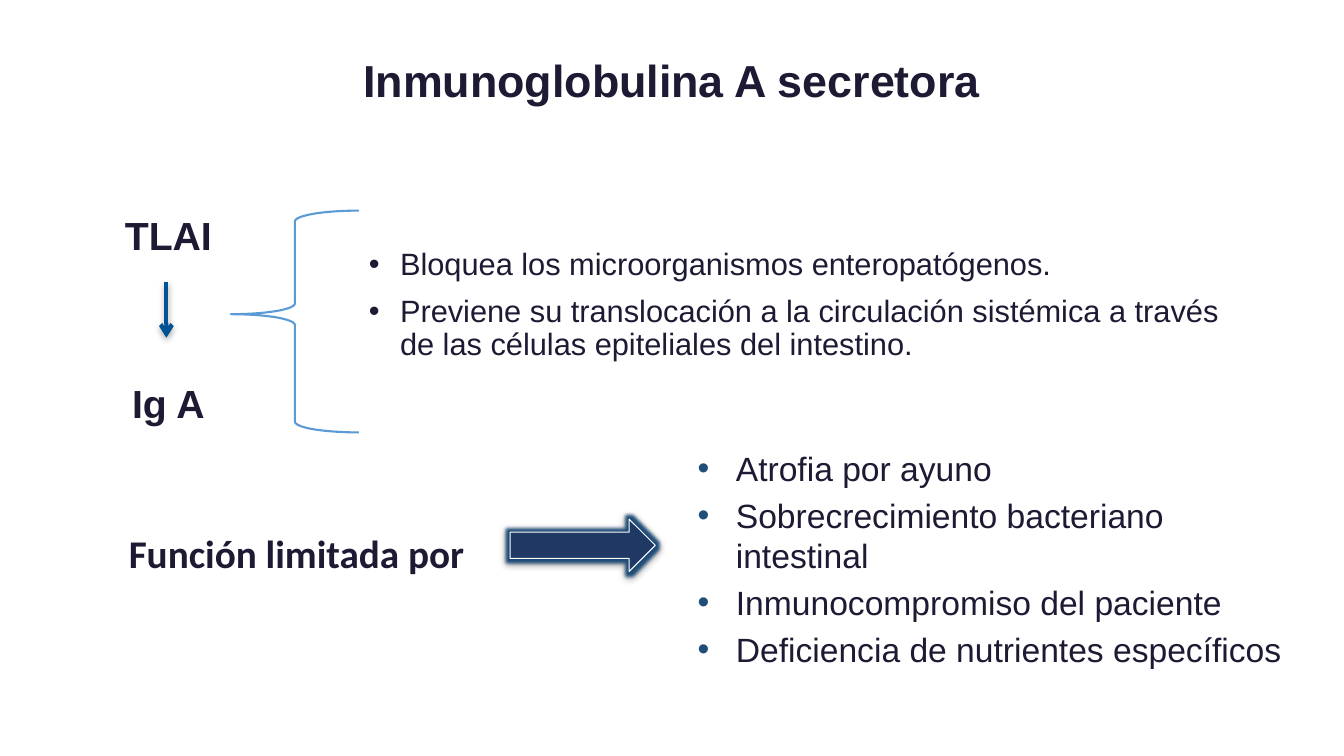
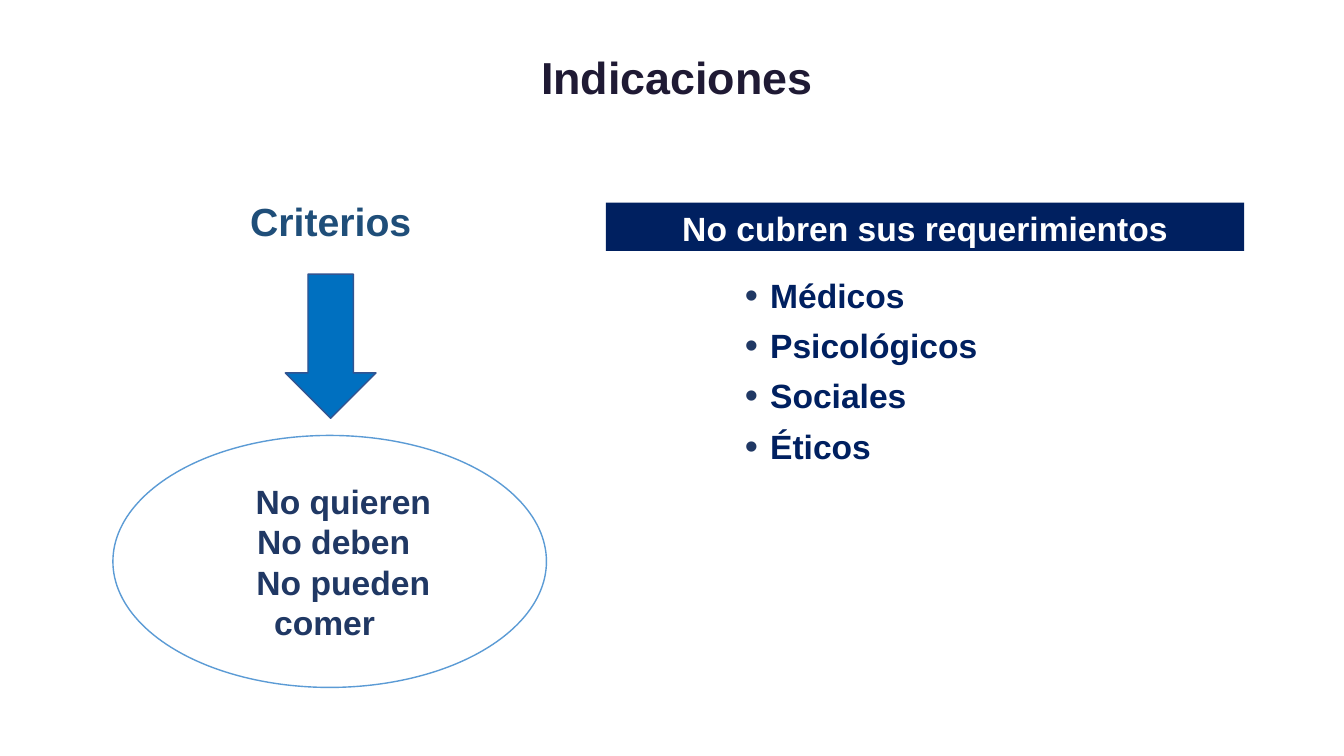
from dataclasses import dataclass
from typing import Optional, Sequence

from lxml import etree
from pptx import Presentation
from pptx.dml.color import RGBColor
from pptx.enum.shapes import MSO_CONNECTOR, MSO_SHAPE
from pptx.enum.text import MSO_ANCHOR as ANCHOR, MSO_AUTO_SIZE as AUTO, PP_ALIGN as ALIGN
from pptx.oxml.ns import qn
from pptx.util import Inches, Pt

COLORS = {
    "ink": "1F1A34",
    "white": "FFFFFF",
    "sky": "5B9BD5",
    "steel": "1F4E79",
    "navy": "203864",
    "deep": "002060",
    "line_blue": "005294",
    "arrow_blue": "0070C0",
    "arrow_edge": "325491",
    "black": "000000",
}


@dataclass(frozen=True)
class Box:
    left: float
    top: float
    width: float
    height: float

    def inches(self) -> tuple:
        return tuple(Inches(v) for v in (self.left, self.top, self.width, self.height))


@dataclass(frozen=True)
class TextStyle:
    size: float
    color: str = "ink"
    bold: bool = False
    font: str = "Arial"
    align: ALIGN = ALIGN.LEFT
    line_spacing: object = 1.0
    space_before: float = 0


@dataclass(frozen=True)
class Bullet:
    indent: float
    color: str
    percent: int = 100


@dataclass(frozen=True)
class BulletList:
    box: Box
    items: Sequence[str]
    style: TextStyle
    bullet: Bullet


@dataclass(frozen=True)
class Label:
    text: str
    box: Box
    style: TextStyle


@dataclass(frozen=True)
class Figure:
    kind: MSO_SHAPE
    box: Box
    fill: Optional[str] = None
    line: Optional[str] = None
    weight: float = 1
    adjustments: Sequence[float] = ()


TITLE = TextStyle(32, bold=True, align=ALIGN.CENTER, line_spacing=0.9)
LABEL = TextStyle(28, bold=True, align=ALIGN.CENTER)


def rgb(name: str) -> RGBColor:
    return RGBColor.from_string(COLORS[name])


def add_child(parent, tag: str, **attributes):
    element = etree.SubElement(parent, qn(tag))
    for key, value in attributes.items():
        element.set(key, str(value))
    return element


def add_bullet(paragraph, bullet: Bullet) -> None:
    properties = paragraph._p.get_or_add_pPr()
    properties.set("marL", str(Inches(bullet.indent)))
    properties.set("indent", str(-Inches(bullet.indent)))
    color = add_child(properties, "a:buClr")
    add_child(color, "a:srgbClr", val=COLORS[bullet.color])
    add_child(properties, "a:buSzPct", val=bullet.percent * 1000)
    add_child(properties, "a:buFont", typeface="Arial")
    add_child(properties, "a:buChar", char="•")


def write(frame, lines: Sequence[str], style: TextStyle, anchor: ANCHOR = ANCHOR.TOP,
          bullet: Optional[Bullet] = None) -> None:
    frame_format = {"word_wrap": True, "auto_size": AUTO.NONE, "vertical_anchor": anchor}
    paragraph_format = {
        "alignment": style.align,
        "line_spacing": style.line_spacing,
        "space_before": Pt(style.space_before),
    }
    font_format = {"name": style.font, "size": Pt(style.size), "bold": style.bold}
    for key, value in frame_format.items():
        setattr(frame, key, value)
    for index, line in enumerate(lines):
        paragraph = frame.add_paragraph() if index else frame.paragraphs[0]
        run = paragraph.add_run()
        run.text = line
        for key, value in paragraph_format.items():
            setattr(paragraph, key, value)
        for key, value in font_format.items():
            setattr(run.font, key, value)
        run.font.color.rgb = rgb(style.color)
        if bullet:
            add_bullet(paragraph, bullet)


def add_titled_slide(deck, title: str, box: Box):
    slide = deck.slides.add_slide(deck.slide_layouts[5])
    heading = slide.shapes.title
    heading.left, heading.top, heading.width, heading.height = box.inches()
    write(heading.text_frame, [title], TITLE, ANCHOR.MIDDLE)
    return slide


def add_label(slide, label: Label) -> None:
    box = slide.shapes.add_textbox(*label.box.inches())
    write(box.text_frame, [label.text], label.style)


def add_bullet_list(slide, content: BulletList) -> None:
    box = slide.shapes.add_textbox(*content.box.inches())
    write(box.text_frame, content.items, content.style, bullet=content.bullet)


def add_figure(slide, figure: Figure):
    shape = slide.shapes.add_shape(figure.kind, *figure.box.inches())
    shape.shadow.inherit = False
    for index, value in enumerate(figure.adjustments):
        shape.adjustments[index] = value
    for fill, color in ((shape.fill, figure.fill), (shape.line.fill, figure.line)):
        if color:
            fill.solid()
            fill.fore_color.rgb = rgb(color)
        else:
            fill.background()
    if figure.line:
        shape.line.width = Pt(figure.weight)
    return shape


def add_shadow(effects, distance: float, opacity: int) -> None:
    shadow = add_child(effects, "a:outerShdw", blurRad=Pt(5), dist=Pt(distance),
                       dir=90 * 60000, rotWithShape=0)
    color = add_child(shadow, "a:srgbClr", val=COLORS["black"])
    add_child(color, "a:alpha", val=opacity * 1000)


def add_glow(effects, color: str, radius: float) -> None:
    glow = add_child(effects, "a:glow", rad=Pt(radius))
    add_child(glow, "a:srgbClr", val=COLORS[color])


def add_down_line(slide, x: float, top: float, bottom: float) -> None:
    line = slide.shapes.add_connector(
        MSO_CONNECTOR.STRAIGHT, Inches(x), Inches(top), Inches(x), Inches(bottom))
    line.line.color.rgb = rgb("line_blue")
    line.line.width = Pt(3)
    add_child(line.line._get_or_add_ln(), "a:tailEnd", type="arrow")
    effects = add_child(line._element.spPr, "a:effectLst")
    add_shadow(effects, 1.8, 35)


def build_immunoglobulin(deck) -> None:
    slide = add_titled_slide(deck, "Inmunoglobulina A secretora", Box(0.26, 0.36, 12.81, 0.92))
    functions = BulletList(
        Box(3.56, 2.42, 8.63, 1.57),
        ("Bloquea los microorganismos enteropatógenos.",
         "Previene su translocación a la circulación sistémica a través "
         "de las células epiteliales del intestino."),
        TextStyle(22, line_spacing=0.9, space_before=9.9),
        Bullet(0.31, "ink"))
    limits = BulletList(
        Box(6.82, 4.39, 6.02, 1.89),
        ("Atrofia por ayuno", "Sobrecrecimiento bacteriano intestinal",
         "Inmunocompromiso del paciente", "Deficiencia de nutrientes específicos"),
        TextStyle(24, space_before=4.8),
        Bullet(0.38, "steel"))
    labels = (
        Label("TLAI", Box(0.97, 2.05, 1.4, 0.57), LABEL),
        Label("Ig A", Box(0.97, 3.71, 1.4, 0.57), LABEL),
        Label("Función limitada por", Box(0.6, 5.2, 4.68, 0.57),
              TextStyle(28, bold=True, font="Calibri", align=ALIGN.CENTER)),
    )
    for content in (functions, limits):
        add_bullet_list(slide, content)
    for label in labels:
        add_label(slide, label)
    add_figure(slide, Figure(MSO_SHAPE.LEFT_BRACE, Box(2.29, 2.09, 1.27, 2.2),
                             line="sky", weight=1.5, adjustments=(0.084, 0.467)))
    limit_arrow = add_figure(slide, Figure(MSO_SHAPE.RIGHT_ARROW, Box(5.06, 5.15, 1.44, 0.52),
                                           "navy", "white", 0.75))
    effects = limit_arrow._element.spPr.find(qn("a:effectLst"))
    add_glow(effects, "steel", 5)
    add_shadow(effects, 1.6, 38)
    add_down_line(slide, 1.65, 2.8, 3.35)


def build_indications(deck) -> None:
    slide = add_titled_slide(deck, "Indicaciones", Box(0.31, 0.17, 12.81, 1.25))
    add_bullet_list(slide, BulletList(
        Box(7.29, 2.72, 4.56, 2.28),
        ("Médicos", "Psicológicos", "Sociales", "Éticos"),
        TextStyle(24, "deep", True, line_spacing=0.9, space_before=10),
        Bullet(0.25, "navy", 112)))
    add_label(slide, Label("Criterios", Box(1.86, 1.91, 2.84, 0.57),
                           TextStyle(28, "steel", True, align=ALIGN.CENTER)))
    add_figure(slide, Figure(MSO_SHAPE.DOWN_ARROW, Box(2.83, 2.72, 0.9, 1.43),
                             "arrow_blue", "arrow_edge"))

    banner = add_figure(slide, Figure(MSO_SHAPE.RECTANGLE, Box(6.01, 2.01, 6.33, 0.48), "deep"))
    write(banner.text_frame, ["No cubren sus requerimientos"],
          TextStyle(24, "white", True, align=ALIGN.CENTER,
                    line_spacing=Pt(28.8), space_before=8.4))

    criteria = add_figure(slide, Figure(MSO_SHAPE.OVAL, Box(1.12, 4.32, 4.3, 2.5), "white", "sky"))
    write(criteria.text_frame, ("No quieren", "No deben", "No pueden", "comer"),
          TextStyle(24, "navy", True, align=ALIGN.CENTER), ANCHOR.MIDDLE)
    margins = (("marL", 0.27), ("marL", 0.08), ("marL", 0.27), ("marR", 0.1))
    for paragraph, (side, margin) in zip(criteria.text_frame.paragraphs, margins):
        paragraph._p.get_or_add_pPr().set(side, str(Inches(margin)))


def main() -> None:
    deck = Presentation()
    deck.slide_width, deck.slide_height = Inches(13.33), Inches(7.5)
    build_immunoglobulin(deck)
    build_indications(deck)
    deck.save("out.pptx")


if __name__ == "__main__":
    main()
